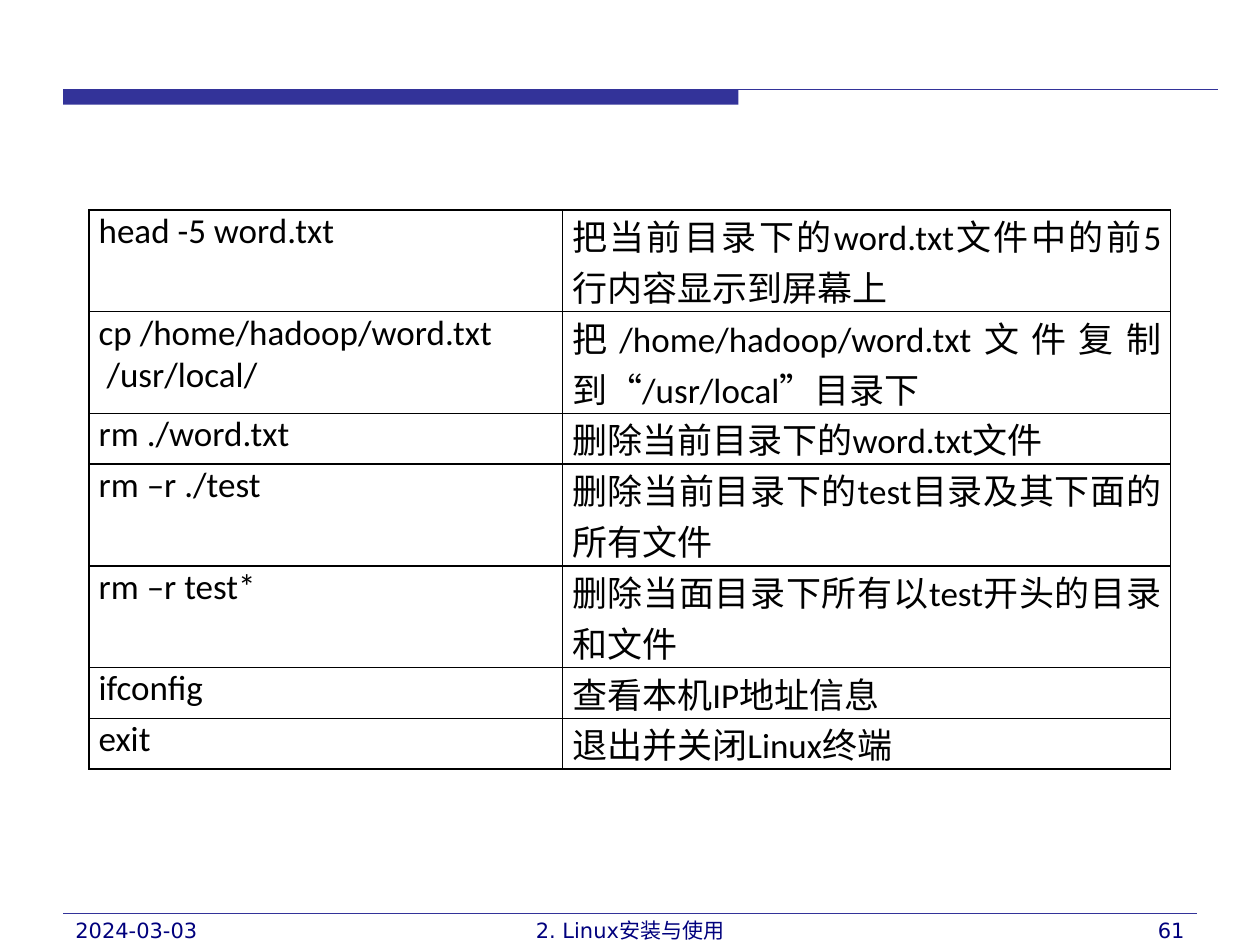
from lxml.etree import SubElement
from pptx import Presentation
from pptx.dml.color import RGBColor
from pptx.enum.shapes import MSO_CONNECTOR as CONN, MSO_SHAPE as SHAPE
from pptx.enum.text import PP_ALIGN as AL
from pptx.oxml.ns import qn
from pptx.util import Pt

COMMANDS = [
    (["head -5 word.txt"], "把当前目录下的word.txt文件中的前5行内容显示到屏幕上", 2),
    (["cp /home/hadoop/word.txt", " /usr/local/"],
     "把/home/hadoop/word.txt文件复制到“/usr/local”目录下", 2),
    (["rm ./word.txt"], "删除当前目录下的word.txt文件", 1),
    (["rm –r ./test"], "删除当前目录下的test目录及其下面的所有文件", 2),
    (["rm –r test*"], "删除当面目录下所有以test开头的目录和文件", 2),
    (["ifconfig"], "查看本机IP地址信息", 1),
    (["exit"], "退出并关闭Linux终端", 1),
]
# text, left, width, alignment
FOOTER = [
    ("2024-03-03", 36, 156, AL.LEFT),
    ("2. Linux安装与使用", 246, 228, AL.CENTER),
    ("61", 528, 156, AL.RIGHT),
]
COL_WIDTHS = (270.5, 347.5)
ROW_UNIT = 21.6
TABLE_LEFT, TABLE_TOP = 51, 120
RULE_TOP = 51.1
BLUE, NAVY, BLACK = "333399", "00007D", "000000"


def rgb(hex_color):
    return RGBColor.from_string(hex_color)


def add_text(p, text, font, size, color, align):
    p.alignment = align
    r = p.add_run()
    r.text = text
    r.font.name = font
    r.font.size = Pt(size)
    r.font.color.rgb = rgb(color)


def add_rule(s, x1, x2, y):
    line = s.shapes.add_connector(CONN.STRAIGHT, Pt(x1), Pt(y), Pt(x2), Pt(y))
    line.line.color.rgb = rgb(BLUE)
    line.line.width = Pt(0.75)
    SubElement(line._element.spPr, qn("a:effectLst"))


def format_cell(cell):
    """Set insets, black 1 pt borders and no fill."""
    cell.margin_left = cell.margin_right = Pt(5.4)
    cell.margin_top = cell.margin_bottom = 0
    tc_pr = cell._tc.get_or_add_tcPr()
    for side in ("lnL", "lnR", "lnT", "lnB"):
        ln = SubElement(tc_pr, qn(f"a:{side}"), w=str(Pt(1)))
        fill = SubElement(ln, qn("a:solidFill"))
        SubElement(fill, qn("a:srgbClr"), val=BLACK)
    cell.fill.background()


def add_commands(s):
    height = ROW_UNIT * sum(lines for _, _, lines in COMMANDS)
    table = s.shapes.add_table(len(COMMANDS), len(COL_WIDTHS), Pt(TABLE_LEFT), Pt(TABLE_TOP),
                               Pt(sum(COL_WIDTHS)), Pt(height)).table
    table.first_row = table.horz_banding = False
    for col, width in zip(table.columns, COL_WIDTHS):
        col.width = Pt(width)
    for row, (command, meaning, lines) in zip(table.rows, COMMANDS):
        row.height = Pt(ROW_UNIT * lines)
        for cell, paragraphs in zip(row.cells, (command, [meaning])):
            format_cell(cell)
            tf = cell.text_frame
            for i, text in enumerate(paragraphs):
                p = tf.add_paragraph() if i else tf.paragraphs[0]
                add_text(p, text, "Calibri", 20, BLACK, AL.JUSTIFY)


def main():
    prs = Presentation()
    prs.slide_width, prs.slide_height = Pt(720), Pt(540)
    s = prs.slides.add_slide(prs.slide_layouts[6])

    bar = s.shapes.add_shape(SHAPE.RECTANGLE, Pt(36), Pt(RULE_TOP), Pt(386), Pt(8.8))
    bar.shadow.inherit = False
    bar.fill.solid()
    bar.fill.fore_color.rgb = rgb(BLUE)
    bar.line.fill.background()
    add_rule(s, 36, 696, RULE_TOP)
    add_rule(s, 36, 684, 522)

    add_commands(s)

    for text, left, width, align in FOOTER:
        tf = s.shapes.add_textbox(Pt(left), Pt(520.5), Pt(width), Pt(19.5)).text_frame
        tf.word_wrap = True
        add_text(tf.paragraphs[0], text, "DejaVu Sans", 12, NAVY, align)

    prs.save("out.pptx")


if __name__ == "__main__":
    main()
